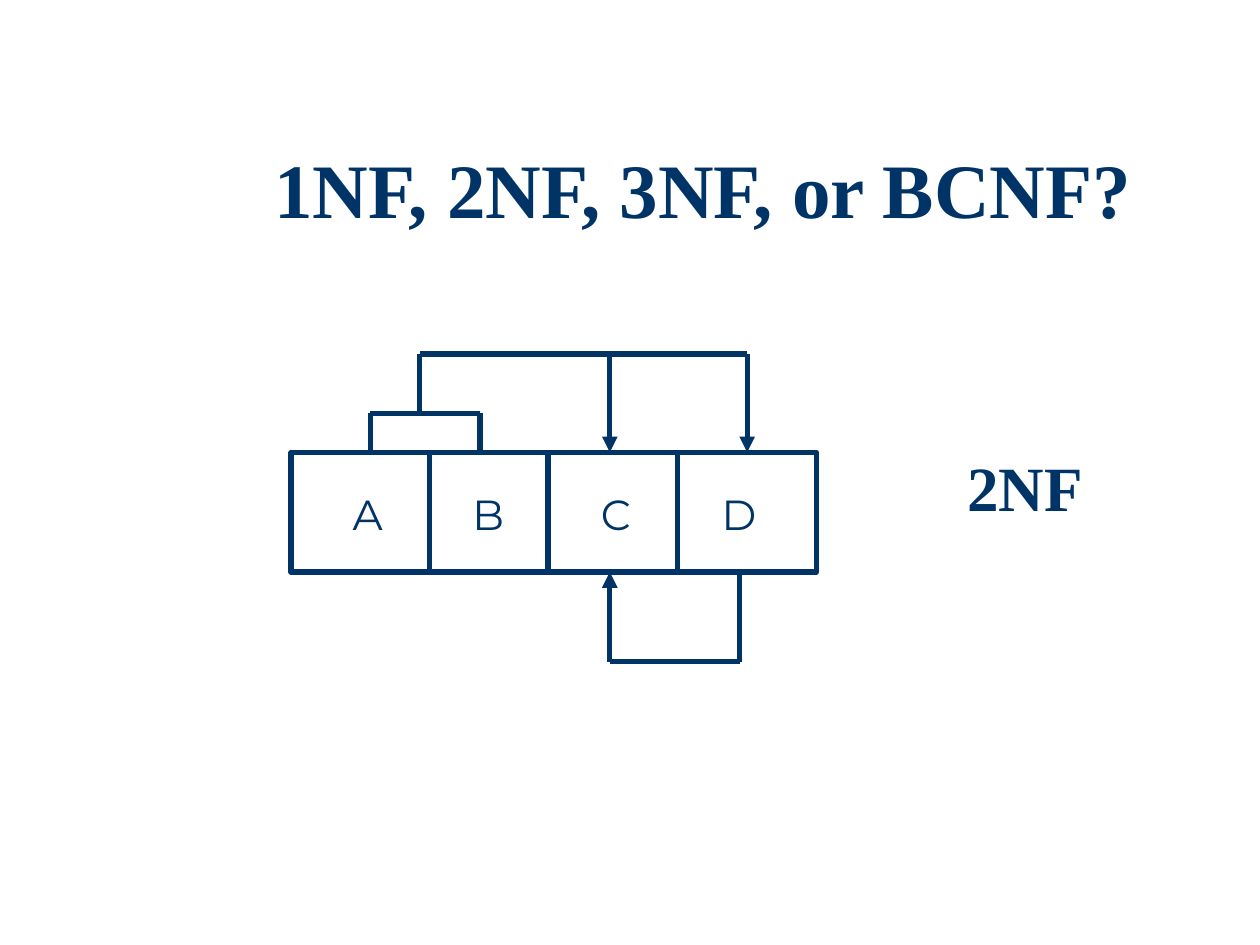
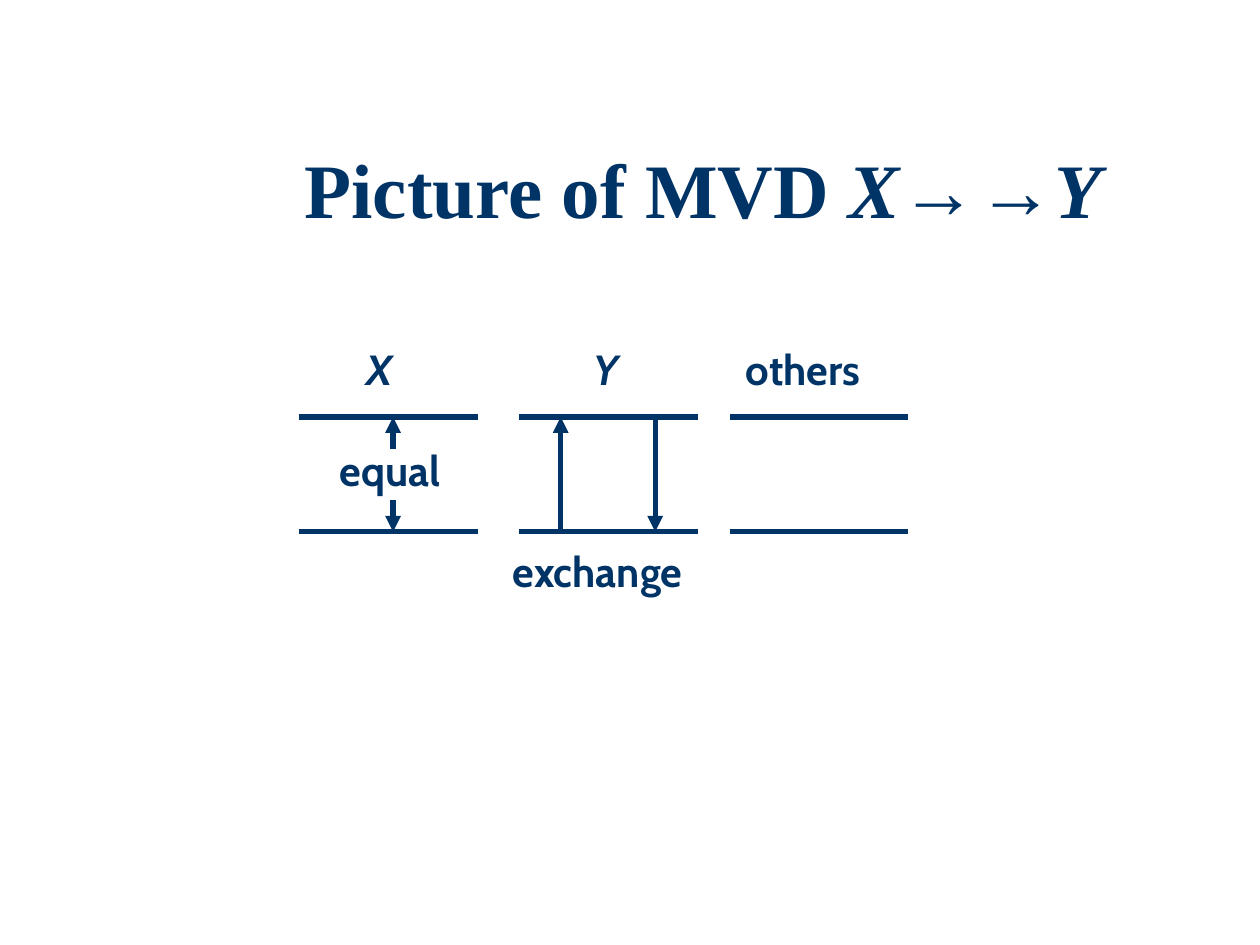
from itertools import pairwise
from lxml import etree
from pptx import Presentation
from pptx.dml.color import RGBColor
from pptx.enum.shapes import MSO_CONNECTOR as Link, MSO_SHAPE as Shape
from pptx.enum.text import MSO_ANCHOR as Anchor, MSO_AUTO_SIZE as Fit, PP_ALIGN as Align
from pptx.oxml.ns import qn
from pptx.util import Pt

PX = 9144  # 100 px to the inch
NAVY, WHITE = "003366", "FFFFFF"
SERIF = "Times New Roman"

# Title runs: (text, italic)
FORM_TITLE = [("1NF, 2NF, 3NF, or BCNF?", False)]
MVD_TITLE = [("Picture of MVD ", False), ("X→→Y", True)]

# Relation A B C D
TOP, BASE = 359, 454
EDGES = [231, 341, 435, 538, 648]
LETTERS = [("A", 270), ("B", 365), ("C", 467), ("D", 563)]
# Routes: (points, arrow at the end)
DEPENDS = [
    ([(294, TOP), (294, 328), (381, 328), (381, TOP)], False),
    ([(333, 328), (333, 281), (593, 281), (593, TOP)], True),
    ([(484, 281), (484, TOP)], True),
    ([(587, BASE), (587, 525), (484, 525), (484, BASE)], True),
]

# Two rows of tuples, split into three columns
ROWS = [331, 422]
COLS = [237, 412, 579]
SPAN = 142
# Labels: (text, left, top, italic)
LABELS = [
    ("X", 281, 268, True),
    ("Y", 461, 268, True),
    ("others", 582, 268, False),
    ("equal", 260, 348, False),
    ("exchange", 397, 428, False),
]
SWAPS = [
    [(312, 356), (312, ROWS[0])],
    [(312, 397), (312, ROWS[1])],
    [(445, ROWS[1]), (445, ROWS[0])],
    [(520, ROWS[0]), (520, ROWS[1])],
]


def color(code):
    return RGBColor.from_string(code)


def style(font, face, size, bold=False, italic=False):
    font.name, font.size = face, Pt(size)
    font.bold, font.italic = bold, italic
    font.color.rgb = color(NAVY)


def stroke(line):
    line.color.rgb = color(NAVY)
    line.width = Pt(3)


def start(deck, runs):
    """Add a slide with the shared title style."""
    slide = deck.slides.add_slide(deck.slide_layouts[5])
    title = slide.shapes.title
    title.left, title.top, title.width, title.height = (
        n * PX for n in (158, 108, 800, 92))
    frame = title.text_frame
    frame.auto_size = Fit.NONE
    frame.vertical_anchor = Anchor.TOP
    frame.margin_top = 4 * PX
    para = frame.paragraphs[0]
    para.alignment = Align.CENTER
    for text, italic in runs:
        run = para.add_run()
        run.text = text
        style(run.font, SERIF, 44, True, italic)
    return slide


def route(slide, points, arrow=False):
    """Join points with straight lines, the last one with an arrowhead."""
    for a, b in pairwise(points):
        link = slide.shapes.add_connector(
            Link.STRAIGHT, *(n * PX for n in a + b))
        stroke(link.line)
        props = link._element.spPr
        if arrow and b == points[-1]:
            etree.SubElement(props.find(qn("a:ln")), qn("a:tailEnd"), type="triangle")
        etree.SubElement(props, qn("a:effectLst"))


def label(slide, text, left, top, width, height, face, size, **looks):
    box = slide.shapes.add_textbox(*(n * PX for n in (left, top, width, height)))
    frame = box.text_frame
    frame.word_wrap = True
    para = frame.paragraphs[0]
    para.text = text
    style(para.font, face, size, **looks)


def draw_form(deck):
    slide = start(deck, FORM_TITLE)
    box = slide.shapes.add_shape(
        Shape.RECTANGLE, EDGES[0] * PX, TOP * PX,
        (EDGES[-1] - EDGES[0]) * PX, (BASE - TOP) * PX)
    box.shadow.inherit = False
    box.fill.solid()
    box.fill.fore_color.rgb = color(WHITE)
    stroke(box.line)
    for x in EDGES[1:-1]:
        route(slide, [(x, TOP), (x, BASE)])
    for points, arrow in DEPENDS:
        route(slide, points, arrow)
    for text, x in LETTERS:
        label(slide, text, x, 383, 46, 50, "Montserrat", 24)
    label(slide, "2NF", 758, 351, 125, 70, SERIF, 36, bold=True)


def draw_mvd(deck):
    slide = start(deck, MVD_TITLE)
    for y in ROWS:
        for x in COLS:
            route(slide, [(x, y), (x + SPAN, y)])
    for text, x, y, italic in LABELS:
        label(slide, text, x, y, 170, 50, "Cabin", 24, bold=True, italic=italic)
    for points in SWAPS:
        route(slide, points, True)


def main():
    deck = Presentation()
    deck.slide_width, deck.slide_height = 1000 * PX, 750 * PX
    draw_form(deck)
    draw_mvd(deck)
    deck.save("out.pptx")


if __name__ == "__main__":
    main()
